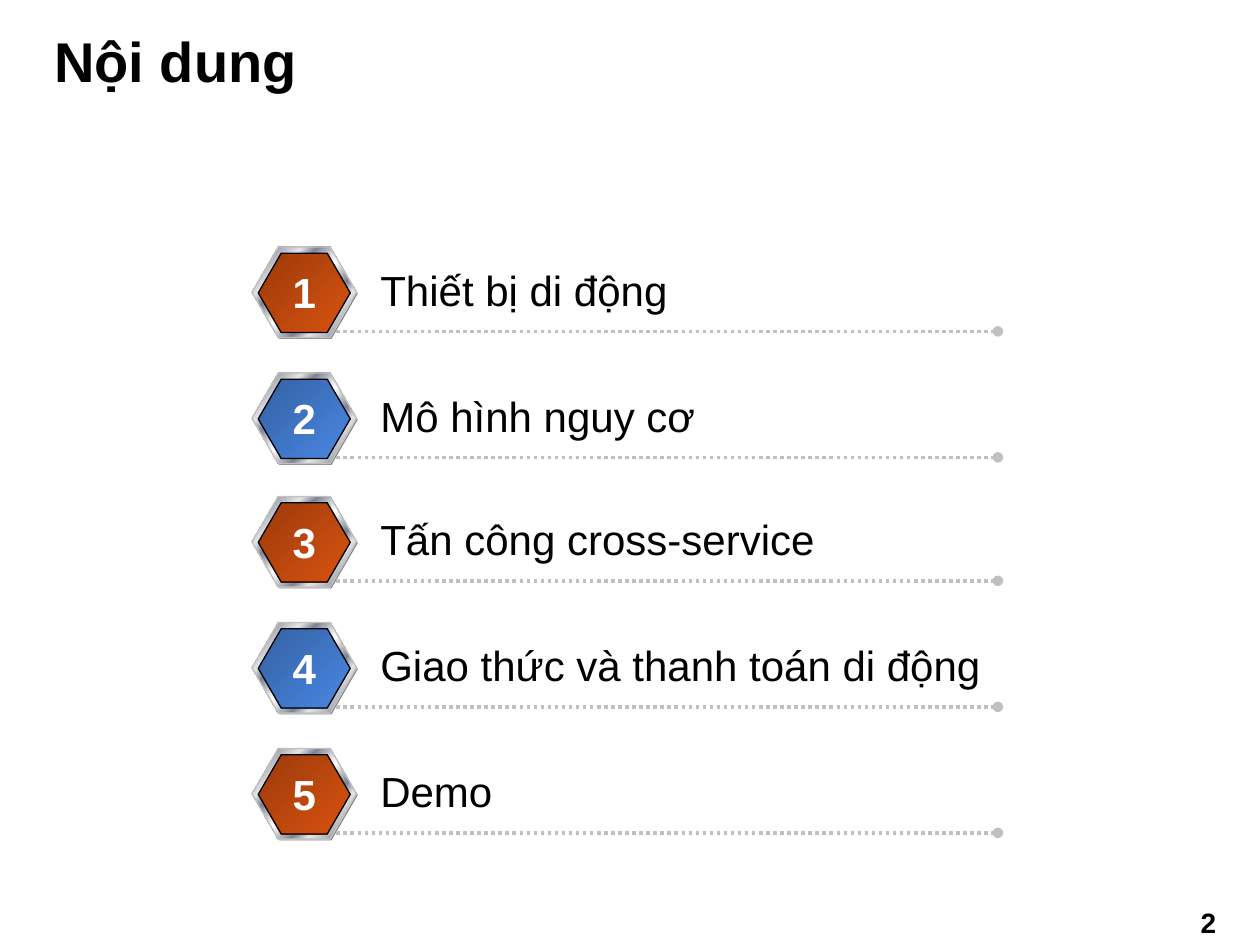
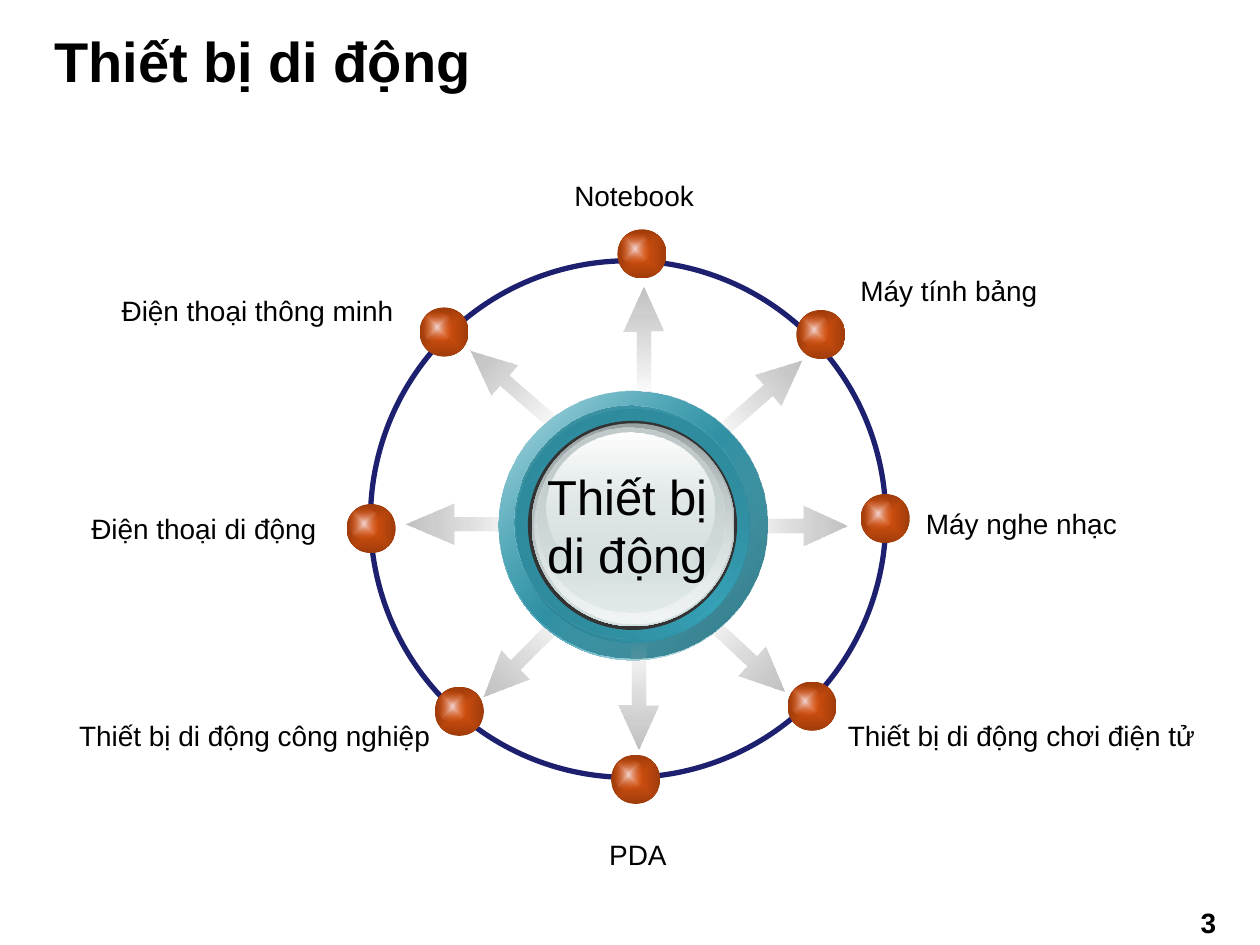
"""Build the contents slide and the mobile device wheel slide."""
from lxml import etree
from pptx import Presentation
from pptx.dml.color import RGBColor
from pptx.enum.dml import MSO_LINE
from pptx.enum.shapes import MSO_CONNECTOR, MSO_SHAPE
from pptx.enum.text import MSO_ANCHOR, MSO_AUTO_SIZE, PP_ALIGN
from pptx.oxml.ns import qn
from pptx.util import Inches, Pt

HEXAGON, OVAL, ARROW = MSO_SHAPE.HEXAGON, MSO_SHAPE.OVAL, MSO_SHAPE.RIGHT_ARROW
STRAIGHT, DOTTED = MSO_CONNECTOR.STRAIGHT, MSO_LINE.ROUND_DOT
LEFT, CENTER, RIGHT = PP_ALIGN.LEFT, PP_ALIGN.CENTER, PP_ALIGN.RIGHT
MIDDLE, NO_FIT = MSO_ANCHOR.MIDDLE, MSO_AUTO_SIZE.NONE
GROW = MSO_AUTO_SIZE.SHAPE_TO_FIT_TEXT
FONT = "Arial"
COLORS = {
    "black": "000000", "white": "FFFFFF", "silver": "C0C0C0", "shade": "808080",
    "chrome": "E6E6E6", "steel": "7D8496", "rust": "9B3B0B", "orange": "D9520F",
    "navy blue": "3461A2", "blue": "4987E3", "ring": "1D1F6F", "arrow tail": "B7B7B7",
    "dot edge": "9F3C0B", "glint": "F2D5D1", "teal": "36A1B6", "dark teal": "277382",
    "mid teal": "297B8B", "rim teal": "2C8495", "charcoal": "333333",
    "glass shade": "99A1A2", "glass": "D6E1E2", "glass light": "F2F5F5",
    "glass gray": "C1CBCC",
}

# A gradient is an angle (None for one that follows the outline) and its stops:
# position, colour and, where needed, opacity in percent.
CHROME = (45, [(0, "chrome"), (7, "steel"), (26, "chrome"), (34, "steel"),
               (46, "chrome"), (50, "white"), (54, "chrome"), (66, "steel"),
               (74, "chrome"), (93, "steel"), (100, "chrome")])
BADGES = [(45, [(0, "rust"), (100, "orange")]),
          (45, [(0, "navy blue"), (100, "blue")])]
ARROW_FADE = (0, [(0, "arrow tail", 0), (100, "silver")])
DOT = (None, [(0, "orange"), (100, "dot edge")])
DOT_GLINT = (None, [(0, "glint"), (100, "orange", 0)])


def add_figure(page, geometry, left, top, width, height, fill=None, line=None, weight=0.75):
    """Add a preset shape with a plain, gradient or empty fill."""
    figure = page.shapes.add_shape(
        geometry, Inches(left), Inches(top), Inches(width), Inches(height))
    figure.shadow.inherit = False
    if line:
        figure.line.color.rgb = RGBColor.from_string(COLORS[line])
        figure.line.width = Pt(weight)
    else:
        figure.line.fill.background()
    if isinstance(fill, str):
        figure.fill.solid()
        figure.fill.fore_color.rgb = RGBColor.from_string(COLORS[fill])
        return figure
    figure.fill.background()
    if fill:
        angle, stops = fill
        gradient = etree.Element(qn("a:gradFill"), rotWithShape="1")
        stop_list = etree.SubElement(gradient, qn("a:gsLst"))
        for position, color, *opacity in stops:
            stop = etree.SubElement(stop_list, qn("a:gs"), pos=str(position * 1000))
            tone = etree.SubElement(stop, qn("a:srgbClr"), val=COLORS[color])
            if opacity:
                etree.SubElement(tone, qn("a:alpha"), val=str(opacity[0] * 1000))
        if angle is None:
            outline = etree.SubElement(gradient, qn("a:path"), path="shape")
            etree.SubElement(outline, qn("a:fillToRect"),
                             l="50000", t="50000", r="50000", b="50000")
        else:
            etree.SubElement(gradient, qn("a:lin"), ang=str(angle * 60000), scaled="1")
        properties = figure._element.spPr
        properties.replace(properties.find(qn("a:noFill")), gradient)
    return figure


def add_text(page, text, left, top, width, height, size, color="black",
             bold=False, align=LEFT, wrap=False, fit=GROW):
    """Add a text box holding one paragraph."""
    box = page.shapes.add_textbox(Inches(left), Inches(top), Inches(width), Inches(height))
    frame = box.text_frame
    frame.word_wrap = wrap
    frame.auto_size = fit
    para = frame.paragraphs[0]
    para.text = text
    para.alignment = align
    para.font.name, para.font.size, para.font.bold = FONT, Pt(size), bold
    para.font.color.rgb = RGBColor.from_string(COLORS[color])


deck = Presentation()
deck.slide_width, deck.slide_height = Inches(10), Inches(7.5)
pages = []
for number, heading in enumerate(["Nội dung", "Thiết bị di động"], 2):
    page = deck.slides.add_slide(deck.slide_layouts[5])
    title = page.shapes.title
    title.left, title.top = Inches(0.33), Inches(0.17)
    title.width, title.height = Inches(8.58), Inches(0.62)
    title.text_frame.text = heading
    title.text_frame.vertical_anchor = MIDDLE
    title.text_frame.auto_size = NO_FIT
    para = title.text_frame.paragraphs[0]
    para.alignment = LEFT
    para.font.name, para.font.size, para.font.bold = FONT, Pt(32), True
    para.font.color.rgb = RGBColor.from_string(COLORS["black"])
    add_text(page, str(number), 9.25, 7.14, 0.68, 0.3, 16,
             bold=True, align=CENTER, wrap=True, fit=NO_FIT)
    pages.append(page)
contents, wheel = pages

topics = [
    (1.96, "Thiết bị di động", 2.51),
    (2.96, "Mô hình nguy cơ", 2.72),
    (3.94, "Tấn công cross-service", 3.68),
    (4.94, "Giao thức và thanh toán di động", 5.01),
    (5.94, "Demo", 1.1),
]
for index, (top, topic, width) in enumerate(topics):
    hexagons = [
        add_figure(contents, HEXAGON, 2.01, top + 0.01, 0.83, 0.72, "shade"),
        add_figure(contents, HEXAGON, 2, top, 0.83, 0.72, CHROME, "silver"),
        add_figure(contents, HEXAGON, 2.05, top + 0.05, 0.73, 0.63,
                   BADGES[index % 2], "black"),
    ]
    for hexagon in hexagons:
        hexagon.adjustments[0] = 0.29
    rule = contents.shapes.add_connector(
        STRAIGHT, Inches(2.67), Inches(top + 0.67), Inches(7.92), Inches(top + 0.67))
    rule.line.color.rgb = RGBColor.from_string(COLORS["silver"])
    rule.line.width = Pt(2)
    rule.line.dash_style = DOTTED
    etree.SubElement(rule.line._get_or_add_ln(), qn("a:tailEnd"), type="oval")
    etree.SubElement(rule._element.spPr, qn("a:effectLst"))
    add_text(contents, topic, 2.92, top + 0.09, width, 0.5, 24)
    add_text(contents, str(index + 1), 2.22, top + 0.11, 0.39, 0.5, 24,
             "white", bold=True, align=CENTER)

arrows_behind = [
    (5.6, 2.99, 0.87, 319.1), (5.47, 5.03, 0.87, 43.1), (3.63, 2.91, 0.87, 221.1),
    (3.71, 5.06, 0.87, 135.1), (5.86, 4.01, 0.87, 0), (3.22, 4, 0.94, 180),
]
arrows_in_front = [(4.67, 2.55, 0.87, 270), (4.63, 5.35, 0.87, 90)]
hub_layers = [
    (3.96, 3.11, 2.13, 2.13, (45, [(0, "white"), (50, "teal"), (100, "white")])),
    (3.96, 3.1, 2.13, 2.13, (45, [(0, "teal", 32), (100, "dark teal")])),
    (4.1, 3.25, 1.85, 1.85, (315, [(0, "mid teal"), (50, "teal"), (100, "mid teal")])),
    (4.08, 3.22, 1.85, 1.85, (45, [(0, "rim teal"), (100, "teal", 0)])),
    (4.19, 3.34, 1.66, 1.66, "charcoal"),
    (4.22, 3.36, 1.61, 1.61, (90, [(0, "glass shade"), (100, "glass")])),
    (4.24, 3.38, 1.57, 1.57, (90, [(0, "glass", 0), (100, "glass light")])),
    (4.26, 3.39, 1.49, 1.47, (90, [(0, "glass gray"), (100, "glass", 48)])),
    (4.34, 3.43, 1.33, 1.19, (90, [(0, "white"), (100, "glass", 38)])),
]
devices = [
    (4.9, 1.82, "Notebook", 4.46, 1.37, 1.16, LEFT),
    (6.32, 2.46, "Máy tính bảng", 6.73, 2.12, 1.63, LEFT),
    (6.83, 3.92, "Máy nghe nhạc", 7.25, 3.97, 1.74, LEFT),
    (6.25, 5.41, "Thiết bị di động chơi điện tử", 6.63, 5.65, 2.99, LEFT),
    (4.85, 5.99, "PDA", 4.73, 6.6, 0.66, RIGHT),
    (3.45, 5.45, "Thiết bị di động công nghiệp", 0.53, 5.65, 3.02, LEFT),
    (2.75, 4, "Điện thoại di động", 0.6, 4.01, 2.01, RIGHT),
    (3.33, 2.44, "Điện thoại thông minh", 0.84, 2.28, 2.38, RIGHT),
]
for arrows in (arrows_behind, arrows_in_front):
    for left, top, length, rotation in arrows:
        arrow = add_figure(wheel, ARROW, left, top, length, 0.32, ARROW_FADE)
        arrow.adjustments[0], arrow.adjustments[1] = 0.35, length * 1.28
        arrow.rotation = rotation
    if arrows is arrows_behind:
        add_figure(wheel, OVAL, 2.94, 2.07, 4.09, 4.1, line="ring", weight=3)
        for left, top, width, height, fill in hub_layers:
            add_figure(wheel, OVAL, left, top, width, height, fill)
add_text(wheel, "Thiết bị di động", 4.13, 3.65, 1.7, 1.04, 28, align=CENTER, wrap=True)
for dot_left, dot_top, device, left, top, width, align in devices:
    add_figure(wheel, OVAL, dot_left, dot_top, 0.39, 0.39, DOT)
    add_figure(wheel, OVAL, dot_left + 0.02, dot_top + 0.03, 0.24, 0.25, DOT_GLINT)
    add_text(wheel, device, left, top, width, 0.37, 16, align=align)

deck.save("out.pptx")
